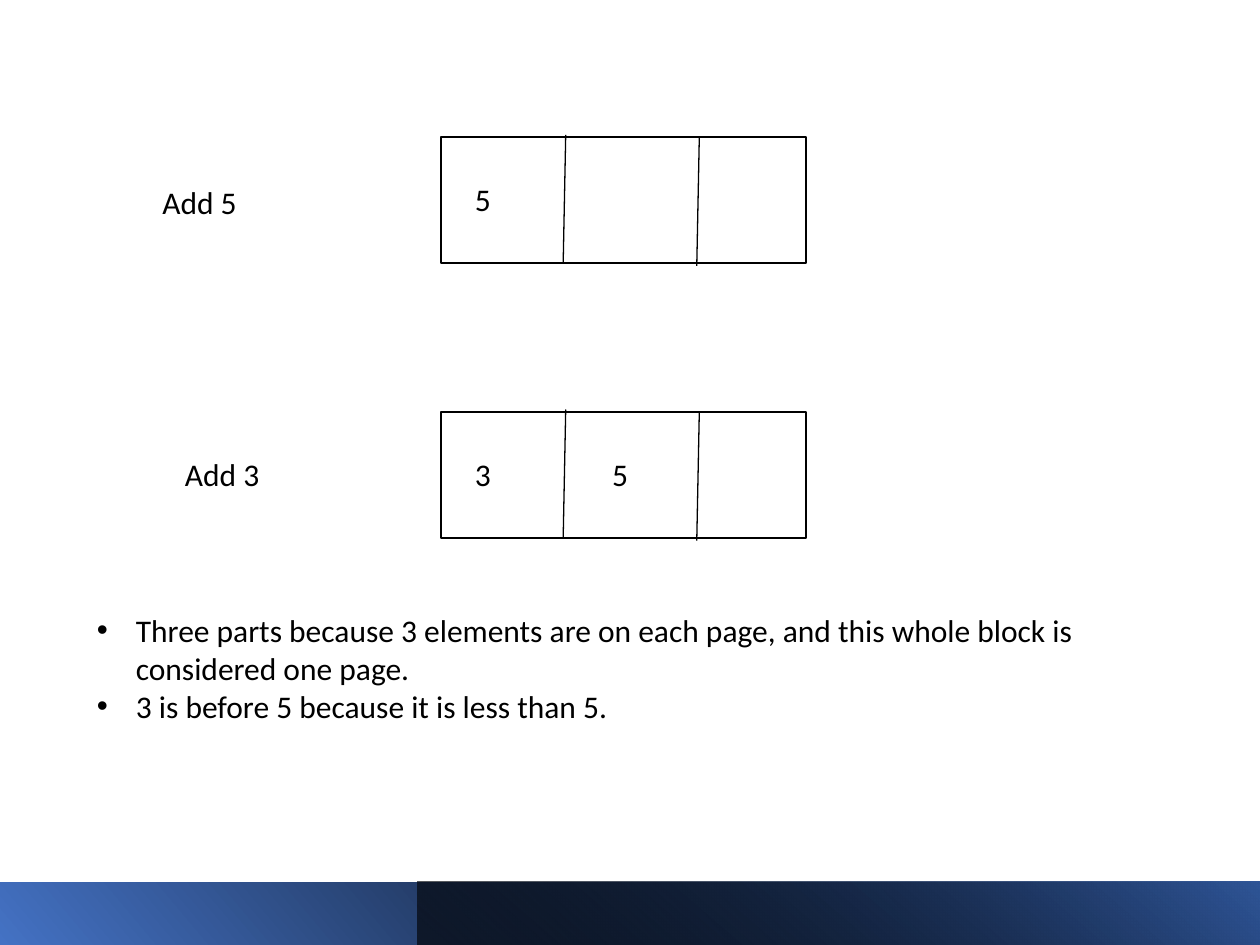
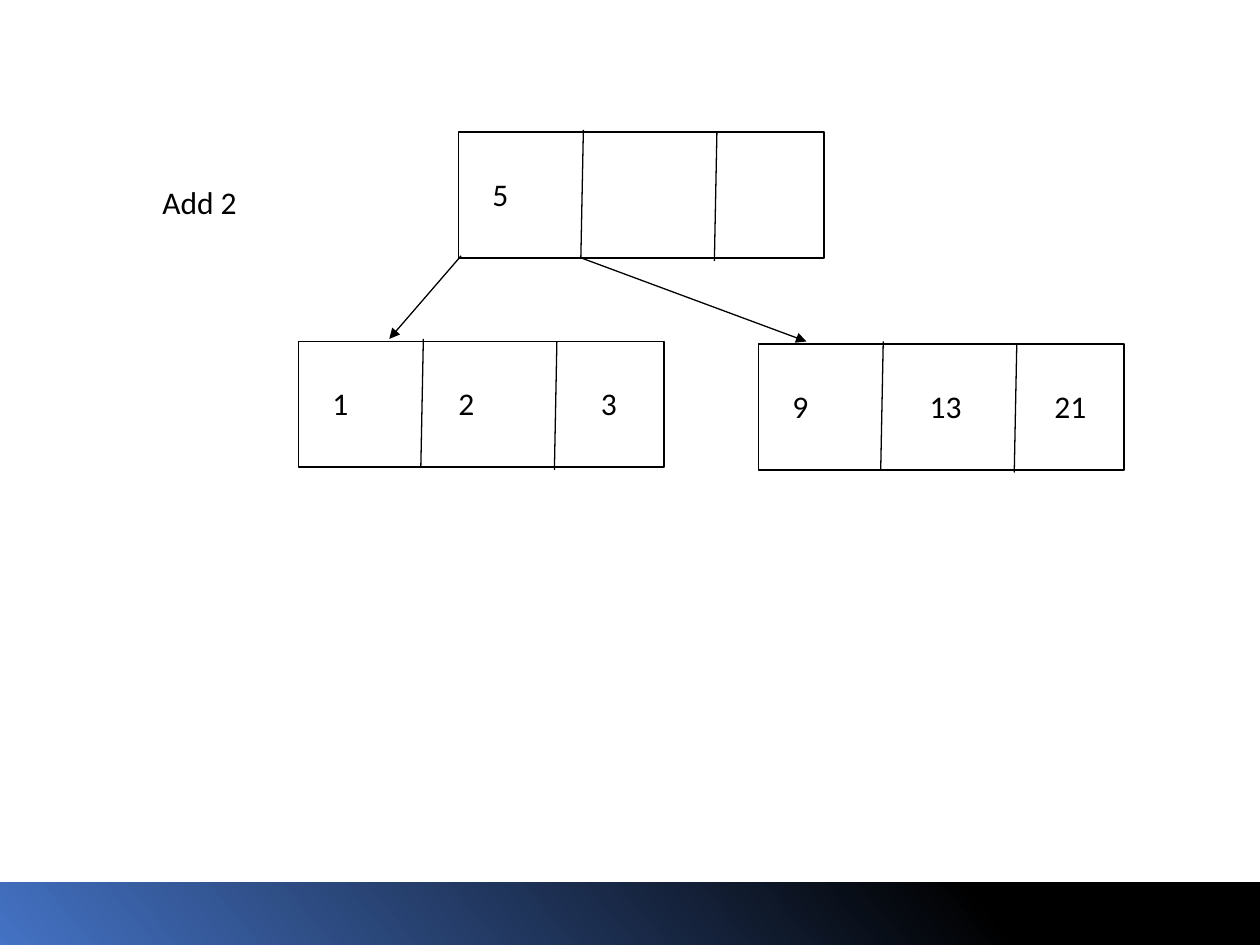
from lxml.etree import SubElement
from pptx import Presentation
from pptx.dml.color import RGBColor
from pptx.enum.shapes import MSO_CONNECTOR as Connector, MSO_SHAPE as Shape
from pptx.enum.text import MSO_AUTO_SIZE as AutoSize
from pptx.oxml.ns import qn
from pptx.util import Inches, Pt

BLACK, WHITE = "000000", "FFFFFF"
BLUE, DEEP_BLUE = "4472C4", "2F5597"
PAGE_WIDTH, PAGE_HEIGHT = 2.9, 1
# Start and end of each slanted divider, from the block's top left corner
DIVIDERS = [((0.99, -0.02), (0.97, 1)), ((2.05, 0), (2.03, 1.02))]
FIRST, SECOND = 0.17, 1.26  # usual value offsets in the first two cells
VALUE_TOP = 0.29


def color(value):
    return RGBColor.from_string(value)


class TreeSlides:
    """Holds the style and the slide being drawn."""

    font, size = "Calibri", Pt(18)

    def __init__(self):
        self.deck = Presentation()
        self.deck.slide_width, self.deck.slide_height = Inches(10), Inches(7.5)
        self.slide = None

    def new_slide(self):
        self.slide = self.deck.slides.add_slide(self.deck.slide_layouts[6])
        fill = self.slide.background.fill
        fill.solid()
        fill.fore_color.rgb = color(WHITE)
        band = self.rectangle(0, 7, 10, 0.5)
        band.rotation = 180
        self.flipped_gradient(band, [(0, BLUE, 100), (78, BLACK, 100)], 40)

    def rectangle(self, left, top, width, height):
        box = self.slide.shapes.add_shape(
            Shape.RECTANGLE, Inches(left), Inches(top), Inches(width), Inches(height))
        box.shadow.inherit = False
        box.line.fill.background()
        return box

    def flipped_gradient(self, box, stops, angle):
        """Mirror the box and fill it with (position, colour, opacity) stops."""
        properties = box._element.spPr
        properties.find(qn("a:xfrm")).set("flipH", "1")
        box.fill.gradient()
        gradient = properties.find(qn("a:gradFill"))
        gradient.set("rotWithShape", "1")
        for child in list(gradient):
            gradient.remove(child)
        stop_list = SubElement(gradient, qn("a:gsLst"))
        for position, value, opacity in stops:
            stop = SubElement(stop_list, qn("a:gs"), pos=str(position * 1000))
            shade = SubElement(stop, qn("a:srgbClr"), val=value)
            if opacity < 100:
                SubElement(shade, qn("a:alpha"), val=str(opacity * 1000))
        SubElement(gradient, qn("a:lin"), ang=str(angle * 60000), scaled="0")

    def line(self, start, end, arrow=False):
        connector = self.slide.shapes.add_connector(
            Connector.STRAIGHT, *(Inches(length) for length in (*start, *end)))
        connector.line.color.rgb = color(BLACK)
        connector.line.width = Pt(0.75)
        if arrow:
            SubElement(connector.line._get_or_add_ln(), qn("a:tailEnd"), type="triangle")
        SubElement(connector._element.spPr, qn("a:effectLst"))

    def text(self, left, top, width, height, lines, wrap=True, bullets=False):
        box = self.slide.shapes.add_textbox(
            Inches(left), Inches(top), Inches(width), Inches(height))
        frame = box.text_frame
        frame.word_wrap = wrap
        frame.auto_size = AutoSize.SHAPE_TO_FIT_TEXT
        for index, line in enumerate(lines):
            para = frame.add_paragraph() if index else frame.paragraphs[0]
            if bullets:
                self.bullet(para)
            span = para.add_run()
            span.text = line
            span.font.name, span.font.size = self.font, self.size
            span.font.color.rgb = color(BLACK)

    def bullet(self, para):
        properties = para._p.get_or_add_pPr()
        properties.set("marL", str(Inches(0.31)))
        properties.set("indent", str(-Inches(0.31)))
        SubElement(properties, qn("a:buFont"), typeface="Arial")
        SubElement(properties, qn("a:buChar"), char="•")

    def label(self, left, top, words):
        self.text(left, top, 0.86, 0.4, [words], wrap=False)

    def tree_page(self, left, top, values):
        """A three-part block; values are (text, offset from the left)."""
        block = self.rectangle(left, top, PAGE_WIDTH, PAGE_HEIGHT)
        block.fill.solid()
        block.fill.fore_color.rgb = color(WHITE)
        block.line.color.rgb = color(BLACK)
        block.line.width = Pt(1)
        for divider in DIVIDERS:
            self.line(*((left + x, top + y) for x, y in divider))
        for value, offset in values:
            self.text(left + offset, top + VALUE_TOP, 0.54, 0.4, [value])


def first_inserts(show):
    show.new_slide()
    # Darker part of the footer band
    overlay = show.rectangle(3.31, 7, 6.69, 0.5)
    show.flipped_gradient(overlay, [(0, BLACK, 63), (100, DEEP_BLUE, 100)], 230)
    # One page before and after the second insert
    show.tree_page(3.5, 1.09, [("5", FIRST)])
    show.tree_page(3.5, 3.27, [("3", FIRST), ("5", SECOND)])
    show.label(1.19, 1.4, "Add 5")
    show.label(1.37, 3.56, "Add 3")
    # Explanation
    show.text(0.67, 4.8, 8.47, 1.01, [
        "Three parts because 3 elements are on each page, "
        "and this whole block is considered one page.",
        "3 is before 5 because it is less than 5.",
    ], bullets=True)


def insert_into_leaf(show):
    show.new_slide()
    # Root and its two leaves
    show.tree_page(3.64, 1.05, [("5", FIRST)])
    show.tree_page(2.37, 2.71, [("1", FIRST), ("2", 1.17), ("3", 2.3)])
    show.tree_page(6.02, 2.73, [("9", FIRST), ("13", SECOND), ("21", 2.25)])
    # Links from the root
    show.line((3.66, 2.03), (3.09, 2.69), arrow=True)
    show.line((4.62, 2.05), (6.4, 2.71), arrow=True)
    show.label(1.19, 1.4, "Add 2")


def main():
    show = TreeSlides()
    first_inserts(show)
    insert_into_leaf(show)
    show.deck.save("out.pptx")


if __name__ == "__main__":
    main()
